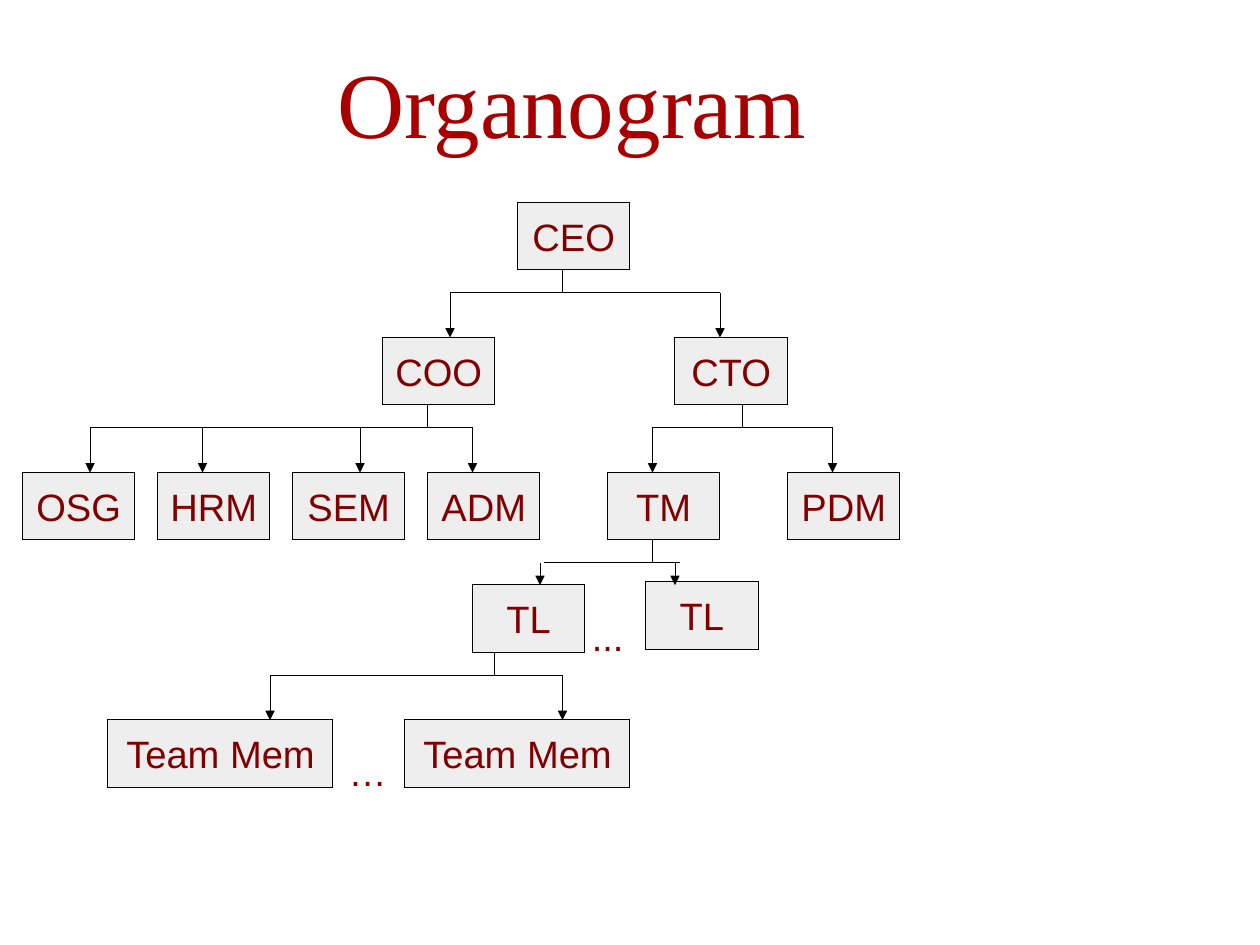
from lxml import etree
from pptx import Presentation, util as u
from pptx.dml.color import RGBColor
from pptx.enum import shapes, text
from pptx.oxml.ns import qn

COLORS = {"title": "A80000", "label": "800000", "box": "EEEEEE", "line": "000000"}
COLS, ROWS = 56, 42  # grid of half-centimetre cells
CELL = u.Cm(0.5)
BOX_H = 3

# label, column, row, width
BOXES = [
    ("CEO", 23, 9, 5),
    ("COO", 17, 15, 5), ("CTO", 30, 15, 5),
    ("OSG", 1, 21, 5), ("HRM", 7, 21, 5), ("SEM", 13, 21, 5), ("ADM", 19, 21, 5),
    ("TM", 27, 21, 5), ("PDM", 35, 21, 5),
    ("TL", 21, 26, 5), ("TL", 28.7, 25.85, 5),
    ("Team Mem", 4.8, 32, 10), ("Team Mem", 18, 32, 10),
]
# stem column, bar row, bar start, bar end, arrow columns, arrow length
BRANCHES = [
    (25, 13, 20, 32, (20, 32), 2),
    (19, 19, 4, 21, (4, 9, 16, 21), 2),
    (33, 19, 29, 37, (29, 37), 2),
    (29, 25, 24.2, 30.2, (24, 30), 1),
    (22, 30, 12, 25, (12, 25), 2),
]
ELLIPSES = [("...", 25.8, 27, 2.45), ("…", 15, 33, 2.7)]


def grid(*cells):
    return [round(c * CELL) for c in cells]


def rgb(name):
    return RGBColor.from_string(COLORS[name])


def write(sp, content, size=24, font="Arial", color="label", wrap=False,
          align=text.PP_ALIGN.CENTER, anchor=text.MSO_ANCHOR.MIDDLE,
          inset=(0.1, 0.05), fit=text.MSO_AUTO_SIZE.NONE):
    tf = sp.text_frame
    tf.word_wrap = wrap
    tf.auto_size = fit
    tf.vertical_anchor = anchor
    tf.margin_left = tf.margin_right = u.Inches(inset[0])
    tf.margin_top = tf.margin_bottom = u.Inches(inset[1])
    p = tf.paragraphs[0]
    p.alignment = align
    r = p.add_run()
    r.text = content
    r.font.size, r.font.name = u.Pt(size), font
    r.font.color.rgb = rgb(color)


def set_hairline(sp):
    sp.line.color.rgb = rgb("line")
    ln = sp._element.spPr.find(qn("a:ln"))
    ln.set("w", "0")  # line.width = 0 would drop the attribute
    return ln


def add_title(s, x, y, w, h):
    sp = s.shapes.add_textbox(*grid(x, y, w, h))
    write(sp, "Organogram", size=58.6, font="Times New Roman", color="title",
          wrap=True, inset=(0, 0))


def add_box(s, label, x, y, w, h=BOX_H):
    sp = s.shapes.add_shape(shapes.MSO_SHAPE.RECTANGLE, *grid(x, y, w, h))
    sp.shadow.inherit = False
    sp.fill.solid()
    sp.fill.fore_color.rgb = rgb("box")
    set_hairline(sp)
    write(sp, label)


def add_line(s, x1, y1, x2, y2, arrow=False):
    cx = s.shapes.add_connector(shapes.MSO_CONNECTOR.STRAIGHT, *grid(x1, y1, x2, y2))
    ln = set_hairline(cx)
    if arrow:
        etree.SubElement(ln, qn("a:tailEnd"), type="triangle")
    etree.SubElement(cx._element.spPr, qn("a:effectLst"))


def add_branch(s, stem, y, x1, x2, arrows, length):
    add_line(s, stem, y - 1, stem, y)
    add_line(s, x1, y, x2, y)
    for x in arrows:
        add_line(s, x, y, x, y + length, arrow=True)


def add_ellipsis(s, dots, x, y, w, h=2.4):
    sp = s.shapes.add_textbox(*grid(x, y, w, h))
    write(sp, dots, align=text.PP_ALIGN.LEFT, anchor=text.MSO_ANCHOR.TOP,
          fit=text.MSO_AUTO_SIZE.SHAPE_TO_FIT_TEXT)


def main():
    prs = Presentation()
    prs.slide_width, prs.slide_height = grid(COLS, ROWS)
    s = prs.slides.add_slide(prs.slide_layouts[6])

    add_title(s, 2, 0.5, 46.8, 8)
    # Roles
    for box in BOXES:
        add_box(s, *box)
    # Reporting lines
    for branch in BRANCHES:
        add_branch(s, *branch)
    # Further members of a level
    for ellipsis in ELLIPSES:
        add_ellipsis(s, *ellipsis)

    prs.save("out.pptx")


if __name__ == "__main__":
    main()
